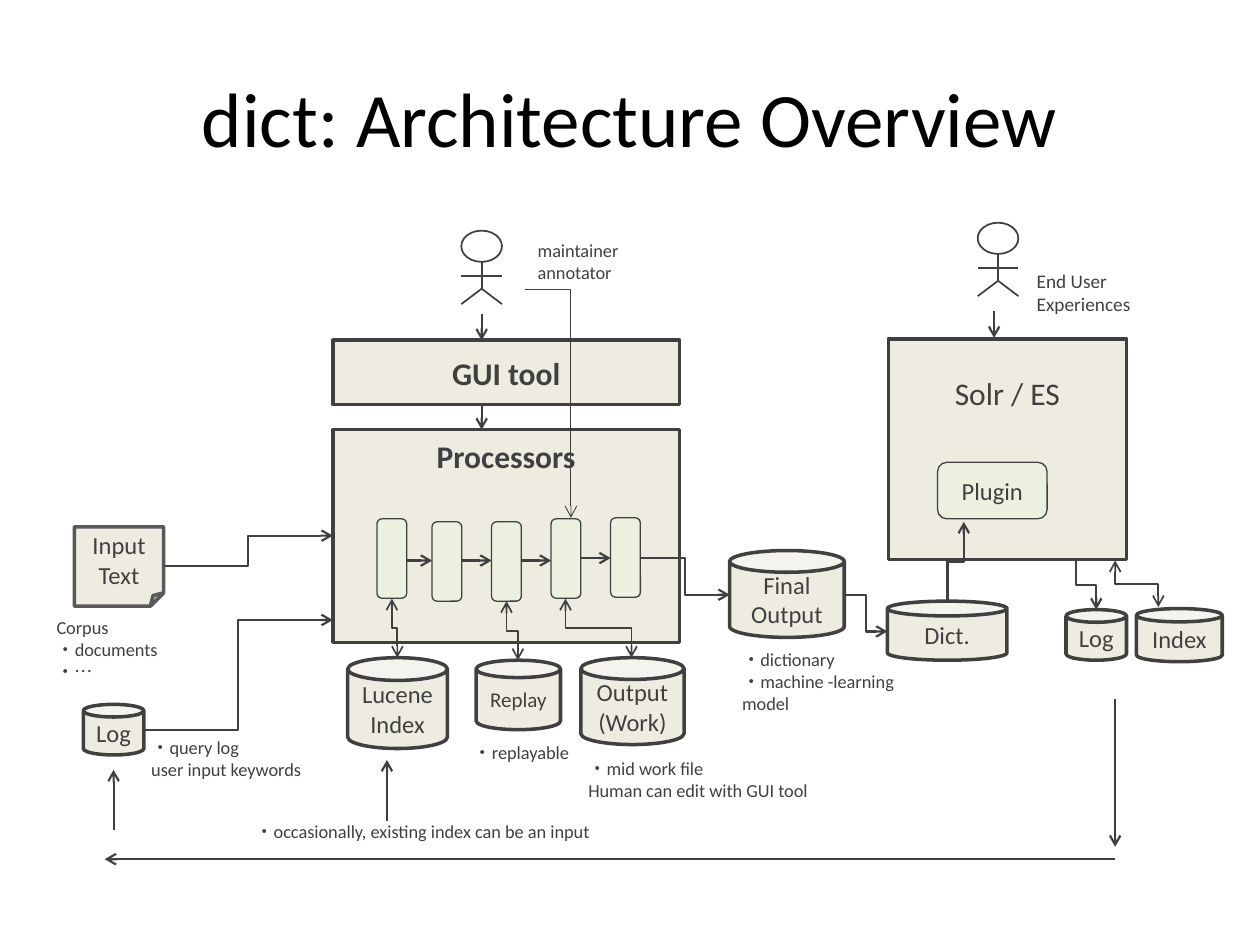
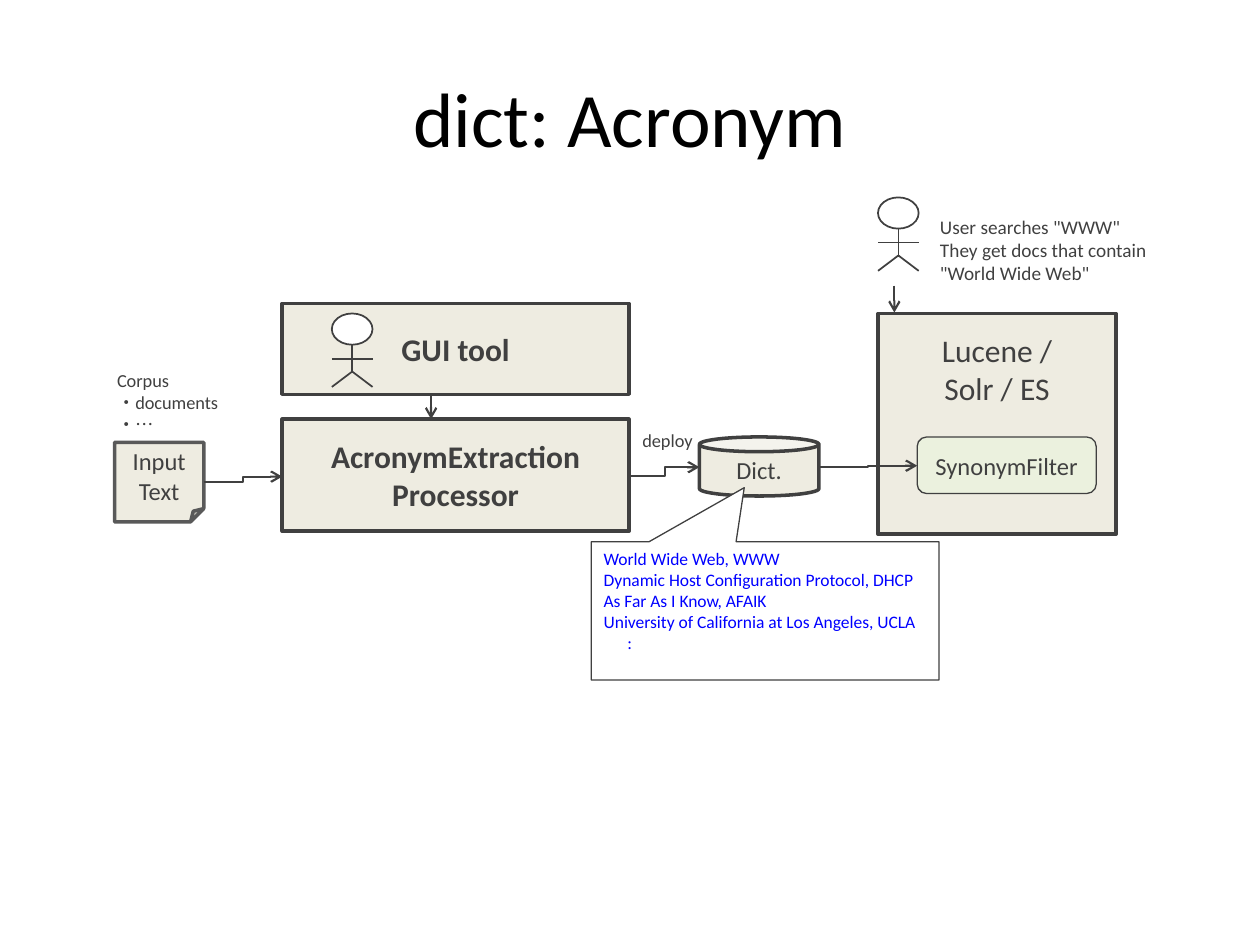
from dataclasses import dataclass
from itertools import pairwise

from lxml.etree import SubElement
from pptx import Presentation
from pptx.dml.color import RGBColor
from pptx.enum.shapes import MSO_CONNECTOR, MSO_SHAPE
from pptx.enum.text import MSO_ANCHOR, PP_ALIGN
from pptx.oxml.ns import qn
from pptx.slide import Slide
from pptx.util import Cm, Pt

COLORS = {
    "title": "000000",
    "ink": "404040",
    "file_edge": "595959",
    "block": "EEECE1",
    "step": "EBF1DE",
    "white": "FFFFFF",
    "entry": "0000FF",
}
FONT = "Calibri"
FILE_SIZE = (1.8, 1.6)
LOG_SIZE = (1.22, 1.02)
DICT_SIZE = (2.41, 1.19)
STEP_SIZE = (0.6, 1.6)


def rgb(name):
    """Return the named colour."""
    return RGBColor.from_string(COLORS[name])


def write(frame, text, size, color="ink", bold=False, align=PP_ALIGN.LEFT):
    """Fill a text frame, one paragraph for each line."""
    frame.text = text
    for paragraph in frame.paragraphs:
        paragraph.alignment = align
        paragraph.font.name = FONT
        paragraph.font.size = Pt(size)
        paragraph.font.bold = bold
        paragraph.font.color.rgb = rgb(color)


def ink(line, weight, color="ink"):
    """Give an outline its weight and colour."""
    line.width = Pt(weight)
    line.color.rgb = rgb(color)


@dataclass
class Region:
    """A part of a slide whose contents are placed from its top left corner, in cm."""

    slide: Slide
    left: float
    top: float

    def point(self, x, y):
        """Return a point of the region as slide lengths."""
        return Cm(self.left + x), Cm(self.top + y)

    def node(self, kind, x, y, size, text="", points=14, fill="block", edge="ink",
             weight=2, bold=False, top_inset=None):
        """Add a labelled shape, centred unless a top inset is given."""
        shape = self.slide.shapes.add_shape(kind, *self.point(x, y), *map(Cm, size))
        shape.shadow.inherit = False
        shape.fill.solid()
        shape.fill.fore_color.rgb = rgb(fill)
        ink(shape.line, weight, edge)
        if text:
            frame = shape.text_frame
            write(frame, text, points, bold=bold, align=PP_ALIGN.CENTER)
            frame.word_wrap = False
            frame.vertical_anchor = MSO_ANCHOR.MIDDLE
            if top_inset is not None:
                frame.vertical_anchor = MSO_ANCHOR.TOP
                frame.margin_top = Cm(top_inset)
        return shape

    def store(self, x, y, size, text, points=14):
        """Add a data store."""
        return self.node(MSO_SHAPE.CAN, x, y, size, text, points)

    def step(self, x, y, size, text=""):
        """Add a rounded processing step."""
        return self.node(MSO_SHAPE.ROUNDED_RECTANGLE, x, y, size, text,
                         fill="step", weight=0.75)

    def note(self, x, y, size, text, points=10.5):
        """Add an annotation."""
        box = self.slide.shapes.add_textbox(*self.point(x, y), *map(Cm, size))
        box.text_frame.word_wrap = True
        write(box.text_frame, text, points)

    def arrow(self, start, end, route="straight", weight=1.25, both=False, bend=None):
        """Add an arrow that runs straight, or bends after leaving across or upright."""
        (x1, y1), (x2, y2) = start, end
        if route == "upright":
            mid_x, mid_y = (x1 + x2) / 2, (y1 + y2) / 2
            reach = abs(y2 - y1) / 2
            drift = (x1 - x2 if y2 > y1 else x2 - x1) / 2
            start = (mid_x - reach, mid_y - drift)
            end = (mid_x + reach, mid_y + drift)
        kind = MSO_CONNECTOR.STRAIGHT if route == "straight" else MSO_CONNECTOR.ELBOW
        arrow = self.slide.shapes.add_connector(
            kind, *self.point(*start), *self.point(*end))
        properties = finish_line(arrow, weight)
        if route == "upright":
            turn = 90 if y2 > y1 else 270
            properties.find(qn("a:xfrm")).set("rot", str(turn * 60000))
        if bend is not None:
            guides = properties.find(qn("a:prstGeom")).find(qn("a:avLst"))
            SubElement(guides, qn("a:gd"), name="adj1", fmla=f"val {bend}")
        outline = properties.find(qn("a:ln"))
        for tip in ("a:headEnd", "a:tailEnd") if both else ("a:tailEnd",):
            SubElement(outline, qn(tip), type="arrow")

    def person(self, x, y):
        """Add a stick figure as one group."""
        figure = self.slide.shapes.add_group_shape().shapes
        head = figure.add_shape(MSO_SHAPE.FLOWCHART_CONNECTOR, *self.point(x, y),
                                Cm(0.82), Cm(0.63))
        head.shadow.inherit = False
        head.fill.solid()
        head.fill.fore_color.rgb = rgb("white")
        ink(head.line, 1)
        limbs = (
            (0, 0.91, 0.82, 0.91),
            (0.41, 0.63, 0.41, 1.2),
            (0.41, 1.17, 0, 1.48),
            (0.41, 1.17, 0.82, 1.48),
        )
        for x1, y1, x2, y2 in limbs:
            limb = figure.add_connector(MSO_CONNECTOR.STRAIGHT,
                                        *self.point(x + x1, y + y1),
                                        *self.point(x + x2, y + y2))
            finish_line(limb, 1)


def finish_line(connector, weight):
    """Format a connector, drop its shadow and return its properties."""
    ink(connector.line, weight)
    properties = connector._element.spPr
    SubElement(properties, qn("a:effectLst"))
    return properties


def titled_slide(deck, title):
    """Add a slide with the shared title style."""
    slide = deck.slides.add_slide(deck.slide_layouts[5])
    heading = slide.shapes.title
    heading.left, heading.top = Cm(1.27), Cm(0.76)
    heading.width, heading.height = Cm(22.86), Cm(3.18)
    write(heading.text_frame, title, 44, "title", align=PP_ALIGN.CENTER)
    heading.text_frame.vertical_anchor = MSO_ANCHOR.MIDDLE
    return slide


def tool_stack(region, gui_height, processor, processor_height, top_inset=None):
    """Place the GUI tool above the processor it drives."""
    width, gap = 6.99, 0.5
    processor_top = gui_height + gap
    region.node(MSO_SHAPE.RECTANGLE, 0, processor_top, (width, processor_height),
                processor, 18, bold=True, top_inset=top_inset)
    region.node(MSO_SHAPE.RECTANGLE, 0, 0, (width, gui_height), "GUI tool", 18,
                bold=True)
    region.arrow((3, gui_height), (3, processor_top))


def corpus(region, note_x, note_y, target):
    """Place the input file, its note and the arrow into the processor."""
    region.node(MSO_SHAPE.FOLDED_CORNER, 0, 0, FILE_SIZE, "Input\nText",
                edge="file_edge")
    region.note(note_x, note_y, (4.01, 1.6), "Corpus\n・documents\n・…")
    region.arrow((FILE_SIZE[0], 0.8), target, "across")


def search_engine(region, engine, top_inset, extension, extension_x, extension_width,
                  user_x):
    """Place the search engine, its extension and the user above it."""
    region.node(MSO_SHAPE.RECTANGLE, 0, 0, (4.8, 4.45), engine, 18,
                top_inset=top_inset)
    region.step(extension_x, 2.49, (extension_width, 1.14), extension)
    region.person(user_x, -2.34)
    region.arrow((user_x + 0.33, -0.56), (user_x + 0.33, -0.02))


def annotated_processors(region):
    """Place the full processing chain and its maintainer."""
    tool_stack(region, 1.3, "Processors", 4.29, top_inset=0.15)
    region.person(2.59, -2.21)
    region.arrow((3, -0.53), (3, 0))
    steps = ((0.89, 3.6), (2, 3.66), (3.2, 3.66), (4.4, 3.6), (5.6, 3.58))
    for x, y in steps:
        region.step(x, y, STEP_SIZE)
    for ((x, _), (next_x, _)), y in zip(pairwise(steps), (4.44, 4.44, 4.44, 4.39)):
        region.arrow((x + STEP_SIZE[0], y), (next_x, y))
    region.note(3.88, -2.16, (3.2, 1.14), "maintainer\nannotator")
    region.arrow((3.88, -1.04), (4.8, 3.58), "upright", weight=0.5, bend=200)


def sources(region):
    """Place the corpus and the query log."""
    corpus(region, -0.61, 1.68, (5.21, 0.18))
    region.store(0.18, 3.58, LOG_SIZE, "Log")
    region.note(1.3, 4.09, (3.91, 1.14), "・query log\nuser input keywords")
    region.arrow((1.4, 4.09), (5.21, 1.88), "across")


def working_stores(region):
    """Place the stores that the processing steps read and write."""
    region.store(0, 0, (2.01, 1.83), "Lucene\nIndex")
    region.store(2.59, 0.05, (1.7, 1.4), "Replay", 12)
    region.store(4.7, 0, (2.08, 1.75), "Output\n(Work)")
    for store, step in (((1, 0), (0.89, -1.19)),
                        ((3.43, 0.05), (3.2, -1.14)),
                        ((5.72, 0), (4.39, -1.19))):
        region.arrow(store, step, "upright", weight=1, both=True)
    region.note(2.29, 1.55, (2.79, 0.71), "・replayable")
    region.note(4.6, 1.88, (7.49, 1.14),
                "・mid work file\nHuman can edit with GUI tool")
    region.note(-2.11, 3.15, (8, 0.71),
                "・occasionally, existing index can be an input")
    region.arrow((0.79, 3.3), (0.79, 2.06))


def final_output(region):
    """Place the final output and the dictionary made from it."""
    region.store(0, 0, (2.31, 1.75), "Final\nOutput")
    region.arrow((-1.8, 0.15), (0, 0.89), "across")
    region.note(0, 1.85, (4.39, 1.6), "・dictionary\n・machine -learning model")
    region.store(3.18, 1.02, DICT_SIZE, "Dict.")
    region.arrow((2.31, 0.89), (3.18, 1.63), "across")
    region.arrow((4.39, 1.02), (4.72, -0.58), "upright")


def search_with_logs(region):
    """Place the search engine with its log and index."""
    search_engine(region, "Solr / ES", 0.72, "Plugin", 0.99, 2.21, user_x=1.8)
    region.note(2.74, -1.52, (3.2, 1.19), "End User Experiences", 11)
    region.store(3.58, 5.46, LOG_SIZE, "Log")
    region.arrow((3.78, 4.47), (4.19, 5.46), "upright")
    region.store(5, 5.44, (1.73, 1.07), "Index")
    region.arrow((5.44, 5.41), (4.57, 4.47), "upright", weight=1, both=True)


def feedback(region):
    """Place the arrows that bring the search log back to the sources."""
    region.arrow((20.37, 0), (20.37, 2.97))
    region.arrow((20.37, 3.22), (0, 3.22))
    region.arrow((0.18, 2.64), (0.18, 1.42))


def acronym_dictionary(region):
    """Place the deployed dictionary with its sample entries."""
    region.store(0, 0, DICT_SIZE, "Dict.")
    region.note(-1.4, -0.28, (1.6, 0.71), "deploy")
    region.arrow((-1.4, 0.79), (0, 0.61), "across")
    region.arrow((DICT_SIZE[0], 0.61), (4.39, 0.58), "across")
    entries = region.node(MSO_SHAPE.RECTANGULAR_CALLOUT, -2.18, 2.11, (7.01, 2.79),
                          fill="white", weight=0.75)
    entries.adjustments[0], entries.adjustments[1] = -0.06, -0.89
    frame = entries.text_frame
    frame.word_wrap = True
    frame.vertical_anchor = MSO_ANCHOR.TOP
    write(frame, "World Wide Web, WWW\nDynamic Host Configuration Protocol, DHCP\n"
          "As Far As I Know, AFAIK\nUniversity of California at Los Angeles, UCLA\n:",
          10, "entry")
    continuation = frame.paragraphs[-1]
    continuation._p.get_or_add_pPr().set("marL", str(Cm(0.48)))


def overview_slide(deck):
    """Build the architecture overview."""
    slide = titled_slide(deck, "dict: Architecture Overview")
    annotated_processors(Region(slide, 6.71, 6.86))
    sources(Region(slide, 1.5, 10.62))
    working_stores(Region(slide, 7.01, 13.26))
    search_with_logs(Region(slide, 17.91, 6.83))
    final_output(Region(slide, 14.71, 11.1))
    feedback(Region(slide, 2.11, 14.1))


def acronym_slide(deck):
    """Build the acronym example."""
    slide = titled_slide(deck, "dict: Acronym")
    tools = Region(slide, 5.69, 6.12)
    tool_stack(tools, 1.83, "AcronymExtraction\nProcessor", 2.26)
    tools.person(1, 0.2)
    corpus(Region(slide, 2.31, 8.92), -0.2, -1.6, (3.38, 0.69))
    search = Region(slide, 17.7, 6.32)
    search_engine(search, "Lucene /\nSolr / ES", 0.35, "SynonymFilter", 0.79, 3.61,
                  user_x=0)
    search.note(1, -2.11, (6, 1.68), 'User searches "WWW"\n'
                'They get docs that contain\n"World Wide Web"', 11)
    acronym_dictionary(Region(slide, 14.1, 8.81))


def main():
    """Build and save the deck."""
    deck = Presentation()
    deck.slide_width, deck.slide_height = Cm(25.4), Cm(19.05)
    overview_slide(deck)
    acronym_slide(deck)
    deck.save("out.pptx")


if __name__ == "__main__":
    main()
